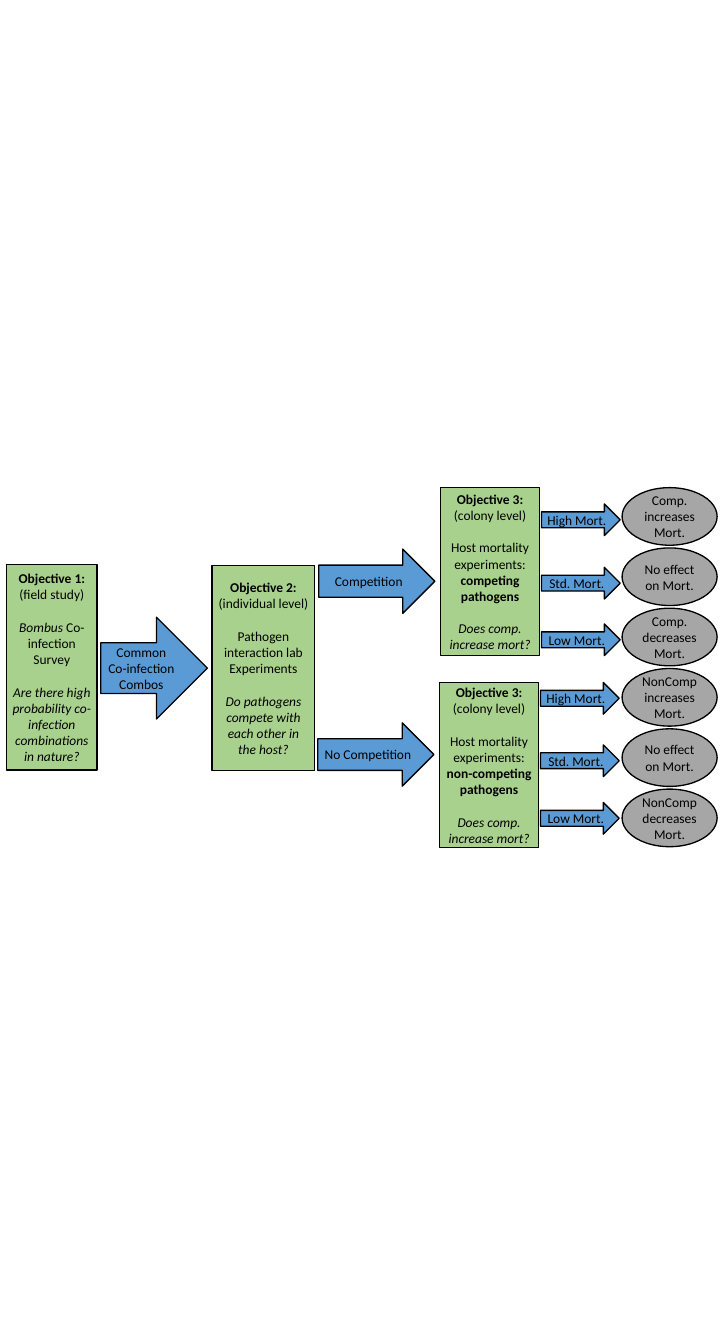
from pptx import Presentation
from pptx.dml.color import RGBColor
from pptx.enum.shapes import MSO_SHAPE
from pptx.enum.text import MSO_ANCHOR, PP_ALIGN
from pptx.util import Inches, Pt

BOX, ARROW, OVAL = MSO_SHAPE.RECTANGLE, MSO_SHAPE.RIGHT_ARROW, MSO_SHAPE.OVAL
MIDDLE, CENTER = MSO_ANCHOR.MIDDLE, PP_ALIGN.CENTER

COLORS = {"ink": "000000", BOX: "A9D18E", ARROW: "5B9BD5", OVAL: "A6A6A6"}
FONT, SIZE, LINE_HEIGHT = "Calibri", 10.1, 12.3

# Objectives: position, then heading, level, study runs and question
# A run is (text, style), with style "b" bold, "i" italic or "" plain
OBJECTIVES = [
    ((0.07, 5.88, 0.94, 2.14), "Objective 1:", "(field study)",
     [("Bombus ", "i"), ("Co-infection Survey", "")],
     "Are there high probability co-infection combinations in nature?"),
    ((2.21, 5.89, 1.07, 2.14), "Objective 2:", "(individual level)",
     [("Pathogen interaction lab Experiments", "")],
     "Do pathogens compete with each other in the host?"),
    ((4.59, 5.08, 1.03, 1.75), "Objective 3:", "(colony level)",
     [("Host mortality experiments: ", ""), ("competing pathogens", "b")],
     "Does comp. increase mort?"),
    ((4.58, 7.11, 1.03, 1.72), "Objective 3:", "(colony level)",
     [("Host mortality experiments: ", ""), ("non-competing pathogens", "b")],
     "Does comp. increase mort?"),
]
LINKS = [
    ((1.05, 6.43, 1.11, 1.06), "Common Co-infection Combos"),
    ((3.32, 5.72, 1.21, 0.67), "Competition"),
    ((3.31, 7.53, 1.21, 0.66), "No Competition"),
]
# Mortality branches: arrow left, arrow top, arrow label, outcome
BRANCHES = [
    (5.64, 5.25, "High Mort.", "Comp. increases Mort."),
    (5.64, 5.91, "Std. Mort.", "No effect on Mort."),
    (5.64, 6.50, "Low Mort.", "Comp. decreases Mort."),
    (5.63, 7.11, "High Mort.", "NonComp increases Mort."),
    (5.63, 7.76, "Std. Mort.", "No effect on Mort."),
    (5.63, 8.36, "Low Mort.", "NonComp decreases Mort."),
]
BRANCH_SIZE = (0.82, 0.33)
OUTCOME_LEFT, OUTCOME_TOP, OUTCOME_STEP = 6.48, 5.08, 0.628
OUTCOME_SIZE = (0.99, 0.6)

presentation = Presentation()
presentation.slide_width, presentation.slide_height = Inches(7.5), Inches(14)
slide = presentation.slides.add_slide(presentation.slide_layouts[6])


def color(key):
    return RGBColor.from_string(COLORS[key])


def add_node(kind, place, paragraphs, wrap=True):
    """Draw a filled shape; each paragraph is (gap in lines, runs)."""
    shape = slide.shapes.add_shape(kind, *map(Inches, place))
    shape.shadow.inherit = False
    shape.fill.solid()
    shape.fill.fore_color.rgb = color(kind)
    shape.line.color.rgb = color("ink")
    shape.line.width = Pt(1)
    frame = shape.text_frame
    frame.word_wrap = wrap
    frame.vertical_anchor = MIDDLE
    frame.margin_left = frame.margin_right = Inches(0.06)
    frame.margin_top = frame.margin_bottom = Inches(0.03)
    for index, (gap, runs) in enumerate(paragraphs):
        paragraph = frame.add_paragraph() if index else frame.paragraphs[0]
        paragraph.alignment = CENTER
        paragraph.space_before = Pt(gap * LINE_HEIGHT)
        for text, style in runs:
            run = paragraph.add_run()
            run.text = text
            run.font.name, run.font.size = FONT, Pt(SIZE)
            run.font.bold, run.font.italic = style == "b", style == "i"
            run.font.color.rgb = color("ink")


def add_label(kind, place, text, wrap=True):
    add_node(kind, place, [(0, [(text, "")])], wrap)


# Objective boxes
for place, heading, level, study, question in OBJECTIVES:
    add_node(BOX, place, [(0, [(heading, "b")]), (0, [(level, "")]),
                          (1, study), (1, [(question, "i")])])

# Arrows between objectives
for place, text in LINKS:
    add_label(ARROW, place, text)

# Mortality arrows and their outcomes
for row, (left, top, label, outcome) in enumerate(BRANCHES):
    add_label(ARROW, (left, top, *BRANCH_SIZE), label, wrap=False)
    outcome_top = OUTCOME_TOP + row * OUTCOME_STEP
    add_label(OVAL, (OUTCOME_LEFT, outcome_top, *OUTCOME_SIZE), outcome)

presentation.save("out.pptx")
